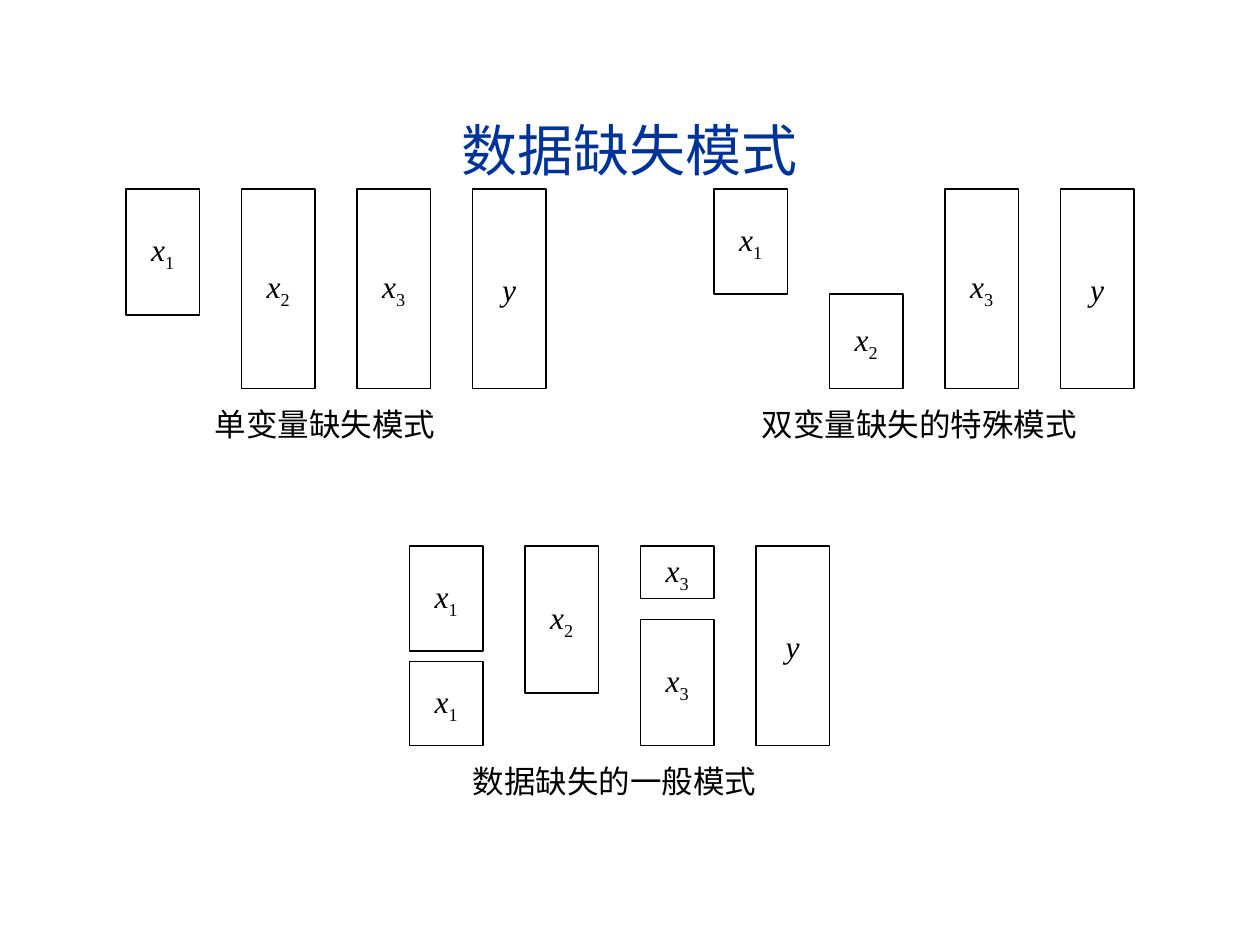
from pptx import Presentation
from pptx.util import Inches, Pt
from pptx.dml.color import RGBColor as RGB
from pptx.enum.shapes import MSO_SHAPE as Shape
from pptx.enum.text import PP_ALIGN as Align, MSO_ANCHOR as Anchor

INK = "000000"
UNIT = 1 / 12            # the drawing grid, in inches
WIDE, STEP = 7, 11       # bar width and column pitch, in grid units


def style(run, size, face, color):
    run.font.size = Pt(size)
    run.font.name = face
    run.font.color.rgb = RGB.from_string(color)


def label(text, left, top, width, height, size, color, anchor):
    box = slide.shapes.add_textbox(Inches(left), Inches(top), Inches(width), Inches(height))
    frame = box.text_frame
    frame.word_wrap = True
    frame.vertical_anchor = anchor
    frame.text = text
    para = frame.paragraphs[0]
    para.alignment = Align.CENTER
    style(para.runs[0], size, "Arial", color)


deck = Presentation()
deck.slide_width, deck.slide_height = Inches(10), Inches(7.5)
slide = deck.slides.add_slide(deck.slide_layouts[6])

# Title
label("数据缺失模式", 0.5, 0.25, 9, 1.25, 32, "003399", Anchor.BOTTOM)

# Panels: left and top in grid units, caption with its left and width in
# inches, then bars as (name, column, start, height) in grid units
panels = [
    (12, 18, "单变量缺失模式", 1.33, 2.5,
     [("x1", 0, 0, 12), ("x2", 1, 0, 19), ("x3", 2, 0, 19), ("y", 3, 0, 19)]),
    (68, 18, "双变量缺失的特殊模式", 5.92, 2.75,
     [("x1", 0, 0, 10), ("x2", 1, 10, 9), ("x3", 2, 0, 19), ("y", 3, 0, 19)]),
    (39, 52, "数据缺失的一般模式", 3.5, 2.75,
     [("x1", 0, 0, 10), ("x1", 0, 11, 8), ("x2", 1, 0, 14),
      ("x3", 2, 0, 5), ("x3", 2, 7, 12), ("y", 3, 0, 19)]),
]

for left, top, title, cap_left, cap_wide, bars in panels:
    # Bars of observed values
    for name, col, start, tall in bars:
        spot = (left + col * STEP, top + start, WIDE, tall)
        bar = slide.shapes.add_shape(Shape.RECTANGLE, *[Inches(n * UNIT) for n in spot])
        bar.shadow.inherit = False
        bar.fill.background()
        bar.line.color.rgb = RGB.from_string(INK)
        bar.line.width = Pt(0.75)
        frame = bar.text_frame
        frame.word_wrap = False
        frame.vertical_anchor = Anchor.MIDDLE
        para = frame.paragraphs[0]
        para.alignment = Align.CENTER

        # Italic letter, then its index as a subscript
        for part in name:
            run = para.add_run()
            run.text = part
            style(run, 18, "Times New Roman", INK)
            run.font.italic = part.isalpha()
            if part.isdigit():
                run.font._element.set("baseline", "-25000")

    # Caption
    label(title, cap_left, (top + 20) * UNIT, cap_wide, 0.4, 18, INK, Anchor.TOP)

deck.save("out.pptx")
